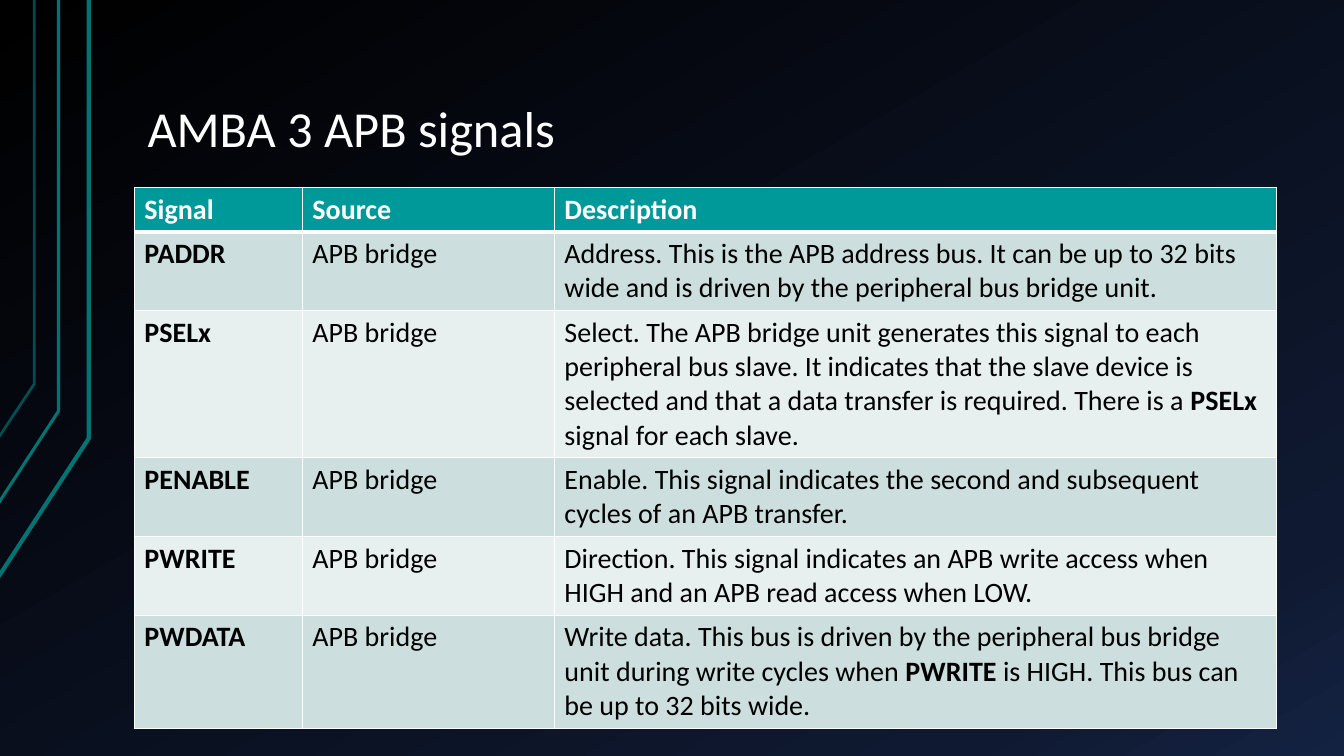
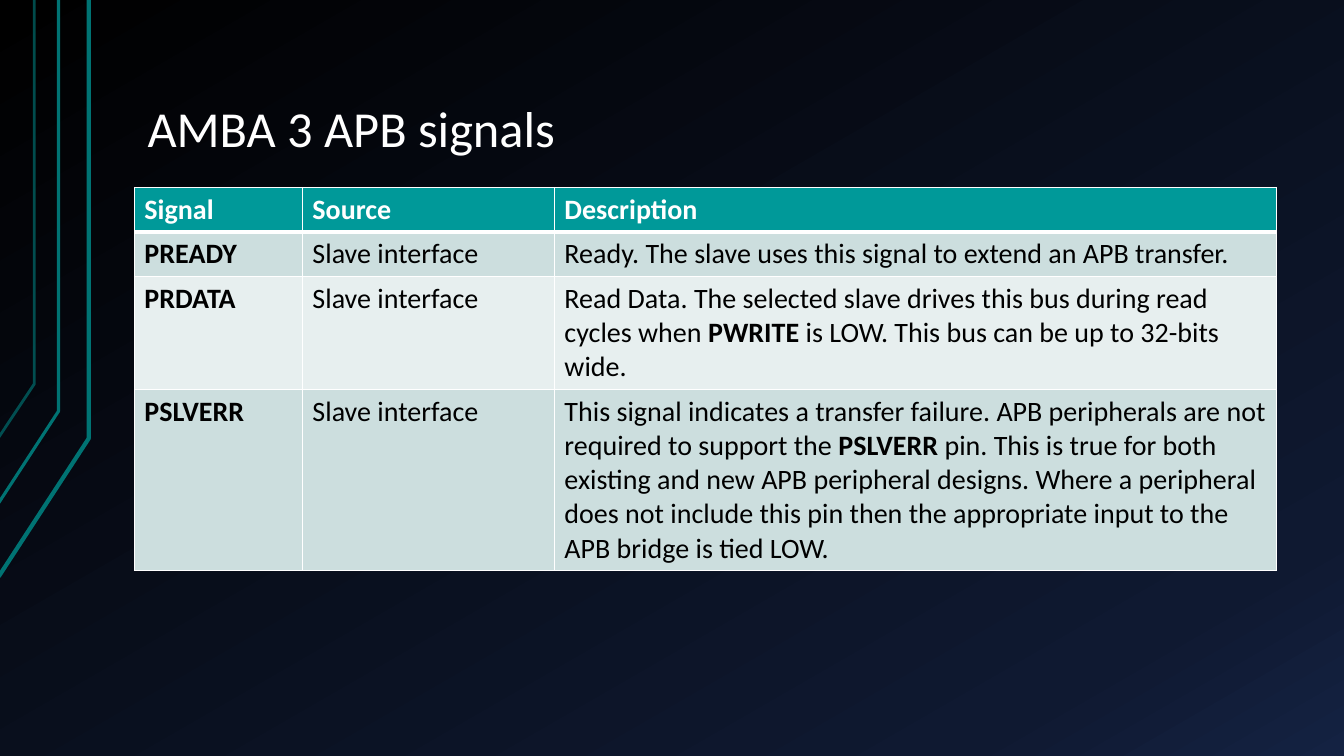
from lxml import etree
from pptx import Presentation
from pptx.dml.color import RGBColor
from pptx.enum.text import MSO_ANCHOR, MSO_AUTO_SIZE, PP_ALIGN
from pptx.oxml import parse_xml
from pptx.oxml.ns import nsdecls, qn
from pptx.util import Inches, Pt

LEFT = PP_ALIGN.LEFT
BOTTOM = MSO_ANCHOR.BOTTOM
NO_FIT = MSO_AUTO_SIZE.NONE

WHITE = RGBColor(0xFF, 0xFF, 0xFF)
BLACK = RGBColor(0x00, 0x00, 0x00)
NAVY = RGBColor(0x0F, 0x19, 0x31)
BLUE = RGBColor(0x14, 0x22, 0x42)
TEAL = RGBColor(0x00, 0x99, 0x99)
DARK_TEAL = RGBColor(0x00, 0x73, 0x73)
ROW_FILLS = (RGBColor(0xCC, 0xDE, 0xDE), RGBColor(0xE7, 0xEF, 0xEF))

FONT = "Calibri"
BACKGROUND_STOPS = ((0, BLACK), (85, NAVY), (100, BLUE))
BACKGROUND_ANGLE = 60
TITLE_ONLY = 5

# Percentages of the slide's width and height
CONTENT_LEFT, CONTENT_WIDTH = 10, 85
TITLE_TOP, TITLE_HEIGHT = 4, 17.87
TABLE_TOP, ROW_HEIGHT = 24.8, 5.47
COLUMN_WIDTHS = (12.5, 18.75, 53.75)
BANDS = (
    (6.6, 58, 76.27, 3, 100),
    (4.35, 54.4, 66.53, 2.25, 100),
    (2.55, 50.8, 57.87, 2, 65),
)

HEADINGS = ("Signal", "Source", "Description")
TITLE = "AMBA 3 APB signals"
BRIDGE_SIGNALS = (
    ("PADDR", "Address. This is the APB address bus. It can be up to 32 bits wide "
     "and is driven by the peripheral bus bridge unit."),
    ("PSELx", "Select. The APB bridge unit generates this signal to each peripheral "
     "bus slave. It indicates that the slave device is selected and that a data "
     "transfer is required. There is a **PSELx** signal for each slave."),
    ("PENABLE", "Enable. This signal indicates the second and subsequent cycles of "
     "an APB transfer."),
    ("PWRITE", "Direction. This signal indicates an APB write access when HIGH and "
     "an APB read access when LOW."),
    ("PWDATA", "Write data. This bus is driven by the peripheral bus bridge unit "
     "during write cycles when **PWRITE** is HIGH. This bus can be up to 32 bits wide."),
)
SLAVE_SIGNALS = (
    ("PREADY", "Ready. The slave uses this signal to extend an APB transfer."),
    ("PRDATA", "Read Data. The selected slave drives this bus during read cycles "
     "when **PWRITE** is LOW. This bus can be up to 32-bits wide."),
    ("PSLVERR", "This signal indicates a transfer failure. APB peripherals are not "
     "required to support the **PSLVERR** pin. This is true for both existing and new "
     "APB peripheral designs. Where a peripheral does not include this pin then the "
     "appropriate input to the APB bridge is tied LOW."),
)


def write_text(frame, text, size=20, color=BLACK, bold=False, spacing=1.0):
    para = frame.paragraphs[0]
    para.alignment = LEFT
    para.line_spacing = spacing
    for index, part in enumerate(text.split("**")):
        span = para.add_run()
        span.text = part
        span.font.name = FONT
        span.font.size = Pt(size)
        span.font.color.rgb = color
        span.font.bold = bold or index % 2 == 1


def add_border(cell, side, width):
    cell._tc.get_or_add_tcPr().append(parse_xml(
        f'<a:ln{side} {nsdecls("a")} w="{Pt(width)}"><a:solidFill>'
        f'<a:srgbClr val="{WHITE}"/></a:solidFill></a:ln{side}>'))


class SignalDeck:
    def __init__(self):
        self.deck = Presentation()
        self.deck.slide_width = Inches(13.33)
        self.deck.slide_height = Inches(7.5)
        self.page = None
        self.set_background()

    def across(self, percent):
        return round(self.deck.slide_width * percent / 100)

    def down(self, percent):
        return round(self.deck.slide_height * percent / 100)

    def set_background(self):
        fill = self.deck.slide_master.background.fill
        fill.gradient()
        fill.gradient_angle = 360 - BACKGROUND_ANGLE
        stop_list = fill.gradient_stops[0]._gs.getparent()
        for stop in list(stop_list):
            stop_list.remove(stop)
        for position, color in BACKGROUND_STOPS:
            stop = etree.SubElement(stop_list, qn("a:gs"), pos=str(position * 1000))
            etree.SubElement(stop, qn("a:srgbClr"), val=str(color))

    def add_page(self, title):
        self.page = self.deck.slides.add_slide(self.deck.slide_layouts[TITLE_ONLY])
        for band in BANDS:
            self.add_band(*band)
        self.add_title(title)

    def add_band(self, x, bend, end, width, opacity):
        builder = self.page.shapes.build_freeform(self.across(-0.1), self.down(end))
        corners = [(self.across(x), self.down(bend)), (self.across(x), 0)]
        builder.add_line_segments(corners, close=False)
        band = builder.convert_to_shape()
        band.shadow.inherit = False
        band.fill.background()
        band.line.color.rgb = DARK_TEAL
        band.line.width = Pt(width)
        if opacity < 100:
            color = band.element.spPr.find(qn("a:ln")).find(".//" + qn("a:srgbClr"))
            etree.SubElement(color, qn("a:alpha"), val=str(opacity * 1000))

    def add_title(self, text):
        box = self.page.shapes.title
        box.left, box.top = self.across(CONTENT_LEFT), self.down(TITLE_TOP)
        box.width, box.height = self.across(CONTENT_WIDTH), self.down(TITLE_HEIGHT)
        frame = box.text_frame
        frame.auto_size = NO_FIT
        frame.word_wrap = True
        frame.vertical_anchor = BOTTOM
        frame.margin_left = frame.margin_right = Inches(0.13)
        frame.margin_top = frame.margin_bottom = Inches(0.07)
        write_text(frame, text, size=36, color=WHITE, spacing=0.9)

    def add_signal_table(self, source, signals):
        rows = [HEADINGS] + [(name, source, detail) for name, detail in signals]
        table = self.page.shapes.add_table(
            len(rows), len(HEADINGS), self.across(CONTENT_LEFT), self.down(TABLE_TOP),
            self.across(CONTENT_WIDTH), self.down(ROW_HEIGHT * len(rows))).table
        for column, width in zip(table.columns, COLUMN_WIDTHS):
            column.width = self.across(width)
        for row_index, row in enumerate(rows):
            table.rows[row_index].height = self.down(ROW_HEIGHT)
            for column_index, text in enumerate(row):
                self.fill_cell(table.cell(row_index, column_index), text,
                               row_index, column_index)

    def fill_cell(self, cell, text, row_index, column_index):
        header = row_index == 0
        top = 3 if row_index == 1 else 1
        bottom = 3 if header else 1
        for side, width in (("L", 1), ("R", 1), ("T", top), ("B", bottom)):
            add_border(cell, side, width)
        cell.fill.solid()
        cell.fill.fore_color.rgb = TEAL if header else ROW_FILLS[(row_index - 1) % 2]
        write_text(cell.text_frame, text, color=WHITE if header else BLACK,
                   bold=header or column_index == 0)


def main():
    builder = SignalDeck()
    for source, signals in (("APB bridge", BRIDGE_SIGNALS),
                            ("Slave interface", SLAVE_SIGNALS)):
        builder.add_page(TITLE)
        builder.add_signal_table(source, signals)
    builder.deck.save("out.pptx")


if __name__ == "__main__":
    main()
